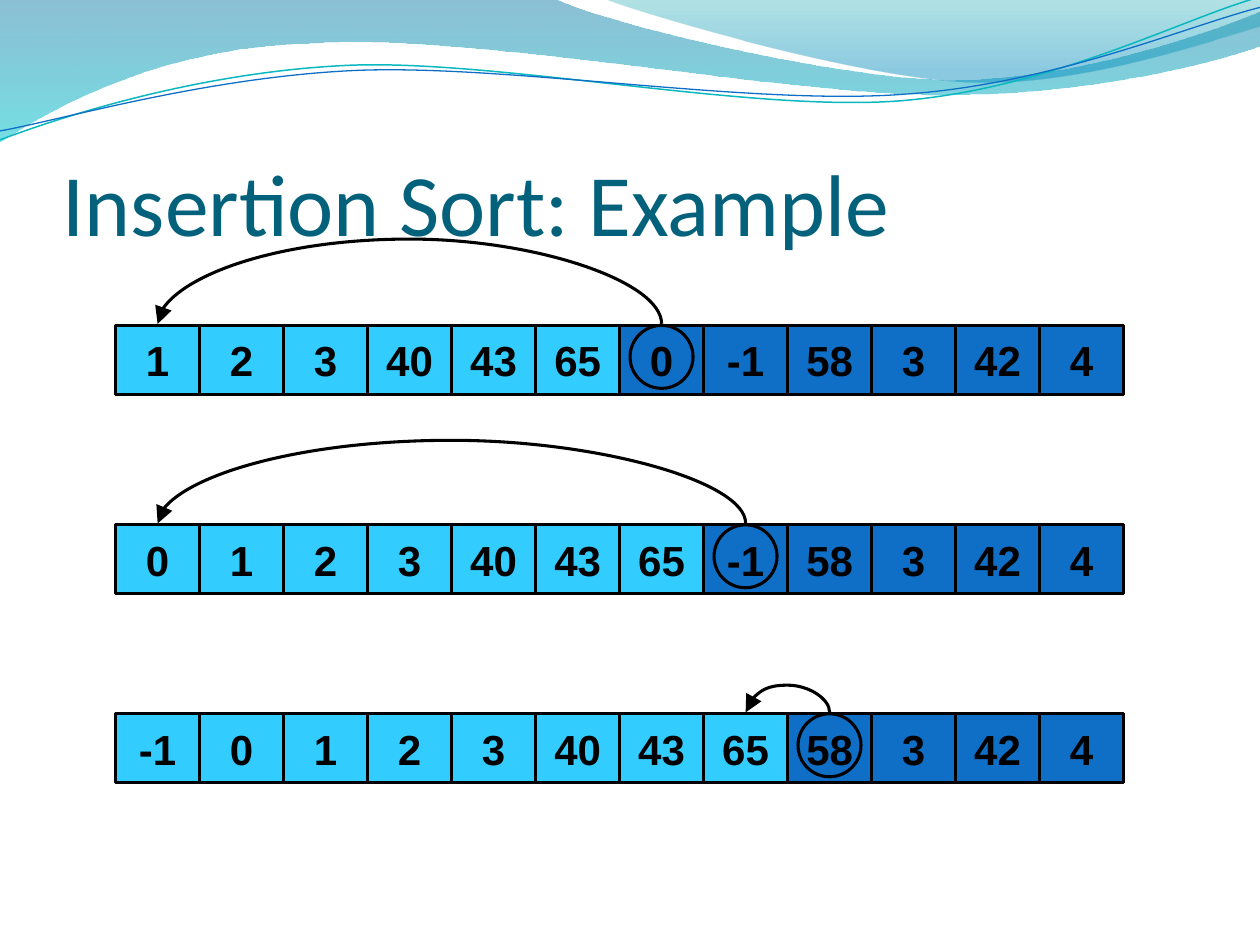
from lxml import etree
from pptx import Presentation
from pptx.dml.color import RGBColor
from pptx.enum.shapes import MSO_CONNECTOR, MSO_SHAPE
from pptx.enum.text import MSO_ANCHOR, PP_ALIGN
from pptx.oxml.ns import qn
from pptx.util import Cm, Pt

RECTANGLE, OVAL, CURVE = MSO_SHAPE.RECTANGLE, MSO_SHAPE.OVAL, MSO_CONNECTOR.CURVE
MIDDLE, BOTTOM = MSO_ANCHOR.MIDDLE, MSO_ANCHOR.BOTTOM
LEFT, CENTER = PP_ALIGN.LEFT, PP_ALIGN.CENTER

COLORS = {
    "title": "04617B", "ink": "000000", "sorted": "33CCFF", "unsorted": "0F6FC6",
    "wave_blue": "0074A1", "wave_teal": "00C6CF",
    "crest_teal": "00A1A9", "crest_blue": "008BBF",
    "thread_teal": "0AB8BF", "thread_blue": "0F6FC6",
}
OUTLINE = 1.75
THREAD_TILT = 357.3
ARC_THICKNESS = Cm(1) // 227

# Outlines in cm: a start point, then segments of one point (line) or three (curve)
WAVE = [(0, 0), [(11.18, -0.03)],
        [(12.09, 0.43), (16.87, 1.6), (19.25, 1.6)],
        [(21.67, 1.6), (24.33, 0.66), (25.4, 0.23)],
        [(25.43, 0.91)],
        [(24.97, 1.12), (22.1, 1.93), (18.95, 1.91)],
        [(15.8, 1.91), (9.7, 0.71), (6.53, 0.86)],
        [(3.28, 0.91), (1.17, 2.11), (-0.03, 2.87)],
        [(0, 0)]]
CREST = [(12.17, -0.03),
         [(12.93, 0.28), (17.32, 1.57), (19.53, 1.65)],
         [(21.74, 1.75), (24.41, 0.81), (25.4, 0.53)],
         [(25.4, 0)], [(12.17, -0.03)]]
TEAL_THREAD = [(-0.05, 2.22),
               [(1.19, 1.82), (4.01, 1.04), (7.05, 1.05)],
               [(10.05, 1.07), (15.02, 2.37), (18.08, 2.29)],
               [(21.13, 2.2), (23.86, 0.91), (25.41, 0.55)]]
BLUE_THREAD = [(-0.04, 2.04),
               [(1.16, 1.89), (4.17, 1.15), (7.2, 1.16)],
               [(10.25, 1.18), (15.13, 2.25), (18.19, 2.16)],
               [(21.22, 2.1), (23.93, 1.06), (25.45, 0.75)]]

# Row top, values, index of the moved value, index of its target, arc rise
STEPS = [
    (6.56, [1, 2, 3, 40, 43, 65, 0, -1, 58, 3, 42, 4], 6, 0, 1.88),
    (10.58, [0, 1, 2, 3, 40, 43, 65, -1, 58, 3, 42, 4], 7, 0, 1.84),
    (14.39, [-1, 0, 1, 2, 3, 40, 43, 65, 58, 3, 42, 4], 8, 7, 0.6),
]


def color(name):
    return RGBColor.from_string(COLORS[name])


def set_line(shape, name, width):
    shape.line.color.rgb = color(name)
    shape.line.width = Pt(width)


def write_text(shape, text, size, font, ink, bold=False, align=LEFT,
               anchor=MIDDLE, wrap=True):
    frame = shape.text_frame
    frame.word_wrap = wrap
    frame.vertical_anchor = anchor
    para = frame.paragraphs[0]
    para.alignment = align
    span = para.add_run()
    span.text = text
    span.font.size = Pt(size)
    span.font.name = font
    span.font.bold = bold
    span.font.color.rgb = color(ink)


def add_outline(page, left, top, outline, closed):
    """Lay all points as lines, then join each group of three into a curve."""
    start, *segments = outline
    points = [(Cm(left + x), Cm(top + y))
              for x, y in [start] + [point for segment in segments for point in segment]]
    builder = page.shapes.build_freeform(*points[0])
    builder.add_line_segments(points[1:], close=closed)
    shape = builder.convert_to_shape()
    shape.shadow.inherit = False
    lines = iter(list(shape.element.spPr.iter(qn("a:lnTo"))))
    for segment in segments:
        group = [next(lines) for point in segment]
        if len(group) == 3:
            curve = etree.Element(qn("a:cubicBezTo"))
            group[0].addprevious(curve)
            for line in group:
                curve.append(line[0])
                line.getparent().remove(line)
    return shape


def add_header(page, left, top):
    # Translucent waves: each stop has position, colour and opacity
    for outline, stops in (
        (WAVE, [(0, "wave_blue", 45), (1, "wave_teal", 55)]),
        (CREST, [(0, "crest_teal", 30), (0.8, "crest_blue", 45)]),
    ):
        shape = add_outline(page, left, top, outline, True)
        shape.line.fill.background()
        shape.fill.gradient()
        shape.fill.gradient_angle = 270
        for stop, (position, name, opacity) in zip(shape.fill.gradient_stops, stops):
            stop.position = position
            stop.color.rgb = color(name)
        tints = list(shape.element.spPr.iter(qn("a:srgbClr")))
        for tint, (position, name, opacity) in zip(tints, stops):
            etree.SubElement(tint, qn("a:alpha"), val=str(opacity * 1000))

    # Thin tilted threads
    for outline, name, width in ((TEAL_THREAD, "thread_teal", 0.85),
                                 (BLUE_THREAD, "thread_blue", 0.75)):
        shape = add_outline(page, left, top, outline, False)
        shape.rotation = THREAD_TILT
        shape.fill.background()
        set_line(shape, name, width)


def add_title(page, left, top, width, height):
    box = page.shapes.add_textbox(Cm(left), Cm(top), Cm(width), Cm(height))
    frame = box.text_frame
    frame.margin_left = frame.margin_right = frame.margin_bottom = 0
    frame.margin_top = Cm(0.13)
    write_text(box, "Insertion Sort: Example", size=50, font="Calibri",
               ink="title", anchor=BOTTOM)


def add_arc(page, start_x, end_x, y, rise):
    # A very thin connector turned upright; its bend reaches up by the rise
    middle, half = (start_x + end_x) / 2, (start_x - end_x) / 2
    edge = Cm(middle)
    arc = page.shapes.add_connector(CURVE, edge + ARC_THICKNESS, Cm(y + half),
                                    edge, Cm(y - half))
    set_line(arc, "ink", OUTLINE)
    properties = arc.element.spPr
    properties.find(qn("a:xfrm")).set("rot", str(270 * 60000))
    guides = properties.find(qn("a:prstGeom")).find(qn("a:avLst"))
    bend = round(-Cm(rise) / ARC_THICKNESS * 100000)
    etree.SubElement(guides, qn("a:gd"), name="adj1", fmla=f"val {bend}")
    etree.SubElement(properties.find(qn("a:ln")), qn("a:tailEnd"),
                     type="triangle", w="lg", len="lg")
    etree.SubElement(properties, qn("a:effectLst"))


def add_step(page, left, top, width, height, values, moved, target, rise):
    pitch = width / len(values)

    def center(index):
        return left + (index + 0.5) * pitch

    # Array cells
    for index, value in enumerate(values):
        cell = page.shapes.add_shape(RECTANGLE, Cm(left + index * pitch), Cm(top),
                                     Cm(pitch), Cm(height))
        cell.shadow.inherit = False
        cell.fill.solid()
        cell.fill.fore_color.rgb = color("sorted" if index < moved else "unsorted")
        set_line(cell, "ink", OUTLINE)
        write_text(cell, str(value), size=24, font="Arial", ink="ink", bold=True,
                   align=CENTER, wrap=False)

    # Ring around the moved value, and the arc to its target
    size = 1.27
    ring = page.shapes.add_shape(OVAL, Cm(center(moved) - size / 2), Cm(top),
                                 Cm(size), Cm(size))
    ring.shadow.inherit = False
    ring.fill.background()
    set_line(ring, "ink", OUTLINE)
    add_arc(page, center(moved), center(target), top - 0.03, rise)


def main():
    deck = Presentation()
    deck.slide_width, deck.slide_height = Cm(25.4), Cm(19.05)
    page = deck.slides.add_slide(deck.slide_layouts[6])
    add_header(page, 0, 0)
    for top, values, moved, target, rise in STEPS:
        add_step(page, 2.33, top, 20.32, 1.39, values, moved, target, rise)
    add_title(page, 1.27, 1.95, 22.86, 3.18)
    deck.save("out.pptx")


if __name__ == "__main__":
    main()
